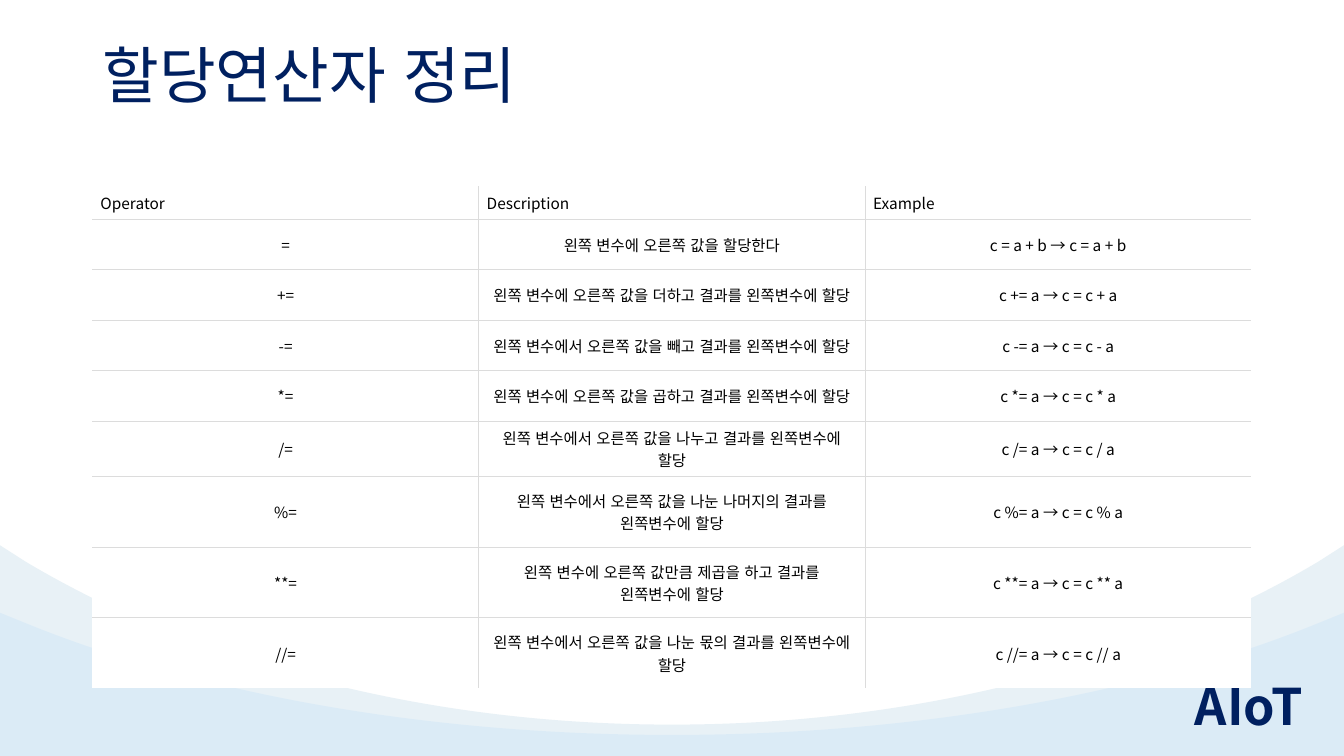
from lxml.etree import SubElement as Sub
from pptx import Presentation
from pptx.dml.color import RGBColor as RGB
from pptx.enum.text import MSO_ANCHOR as Anchor, MSO_AUTO_SIZE as Auto, PP_ALIGN as Align
from pptx.oxml.ns import qn
from pptx.util import Cm, Pt

FONT = "Noto Sans CJK KR"
NAVY, GRID, WHITE, BLACK = "002060", "DCDCDC", "FFFFFF", "000000"
WIDE, HIGH = 33.87, 19.05
HEADS = ["Operator", "Description", "Example"]
ROWS = [
    ("=", "왼쪽 변수에 오른쪽 값을 할당한다", "c = a + b → c = a + b"),
    ("+=", "왼쪽 변수에 오른쪽 값을 더하고 결과를 왼쪽변수에 할당", "c += a → c = c + a"),
    ("-=", "왼쪽 변수에서 오른쪽 값을 빼고 결과를 왼쪽변수에 할당", "c -= a → c = c - a"),
    ("*=", "왼쪽 변수에 오른쪽 값을 곱하고 결과를 왼쪽변수에 할당", "c *= a → c = c * a"),
    ("/=", "왼쪽 변수에서 오른쪽 값을 나누고 결과를 왼쪽변수에 할당", "c /= a → c = c / a"),
    ("%=", "왼쪽 변수에서 오른쪽 값을 나눈 나머지의 결과를 왼쪽변수에 할당", "c %= a → c = c % a"),
    ("**=", "왼쪽 변수에 오른쪽 값만큼 제곱을 하고 결과를 왼쪽변수에 할당", "c **= a → c = c ** a"),
    ("//=", "왼쪽 변수에서 오른쪽 값을 나눈 몫의 결과를 왼쪽변수에 할당", "c //= a → c = c //\u00a0a"),
]
TALLS = [0.84] + [1.27] * 4 + [1.4] + [1.78] * 3


def put(obj, vals):
    """Set each attribute named in a dict."""
    for key, val in vals.items():
        setattr(obj, key, val)


def paint(fill, color):
    """Fill with a solid hex colour."""
    fill.solid()
    fill.fore_color.rgb = RGB.from_string(color)


def write(frame, text, size, color, align=Align.LEFT, bold=False, lead=None):
    """Write one formatted paragraph into a text frame."""
    para = frame.paragraphs[0]
    put(para, {"alignment": align, "line_spacing": lead})
    run = para.add_run()
    run.text = text
    put(run.font, {"name": FONT, "size": Pt(size), "bold": bold})
    run.font.color.rgb = RGB.from_string(color)
    props = run._r.get_or_add_rPr()
    props.set("lang", "ko-KR")
    Sub(props, qn("a:ea"), typeface=FONT)


def bend(shape, first):
    """Join three line segments from the given one into a cubic curve."""
    lines = list(shape._element.iter(qn("a:lnTo")))[first:first + 3]
    lines[0].tag = qn("a:cubicBezTo")
    for line in lines[1:]:
        lines[0].append(line[0])
        line.getparent().remove(line)


def wave(slide, ys, color, alpha=100):
    """Draw a symmetric wave down to the foot of the slide."""
    left = list(zip((0, 0.64, 4.93, 10.67, WIDE / 2), ys))
    right = [(WIDE - x, y) for x, y in left[-2::-1]]
    dots = [(Cm(x), Cm(y)) for x, y in left + right + [(WIDE, HIGH), (0, HIGH)]]
    pen = slide.shapes.build_freeform(*dots[0], scale=1.0)
    pen.add_line_segments(dots[1:], close=True)
    shape = pen.convert_to_shape()
    for _ in range(2):
        bend(shape, 1)if _ == 0 else bend(shape, 1)
    shape.shadow.inherit = False
    shape.line.fill.background()
    paint(shape.fill, color)
    if alpha < 100:
        tint = shape.fill._xPr.find(".//" + qn("a:srgbClr"))
        Sub(tint, qn("a:alpha"), val=str(alpha * 1000))


def border(cell, sides):
    """Rule the named sides of a cell and clear the others."""
    props = cell._tc.get_or_add_tcPr()
    for side in "LRTB":
        line = Sub(props, qn("a:ln" + side), w=str(Pt(0.75)))
        if side in sides:
            Sub(Sub(line, qn("a:solidFill")), qn("a:srgbClr"), val=GRID)
        else:
            Sub(line, qn("a:noFill"))


def grid(slide):
    """Build the operator table with inner rules only."""
    data = [HEADS, *ROWS]
    box = map(Cm, (2.33, 4.69, 29.21, sum(TALLS)))
    table = slide.shapes.add_table(len(data), len(HEADS), *box).table
    put(table, {"first_row": False, "horz_banding": False})
    for r, texts in enumerate(data):
        table.rows[r].height = Cm(TALLS[r])
        for c, text in enumerate(texts):
            cell = table.cell(r, c)
            pad = Cm(0.3 if r and c == 1 else 0.2)
            put(cell, {"margin_left": pad, "margin_right": pad, "margin_top": Cm(0.13),
                       "margin_bottom": Cm(0.13), "vertical_anchor": Anchor.MIDDLE})
            inner = {"L": c > 0, "R": c < len(HEADS) - 1, "T": r > 0, "B": r < len(data) - 1}
            border(cell, [side for side, on in inner.items() if on])
            paint(cell.fill, WHITE)
            write(cell.text_frame, text, 11, BLACK, Align.CENTER if r else Align.LEFT)


def title(slide, text):
    """Place and format the title."""
    head = slide.shapes.title
    put(head, {"left": Cm(2.33), "top": Cm(1.02), "width": Cm(29.21), "height": Cm(3.68)})
    put(head.text_frame, {"vertical_anchor": Anchor.TOP, "auto_size": Auto.NONE, "word_wrap": True})
    write(head.text_frame, text, 44, NAVY, lead=0.9)


def mark(slide, text):
    """Add the bold word in the lower right corner."""
    frame = slide.shapes.add_textbox(*map(Cm, (29.86, 16.88, 3.35, 1.8))).text_frame
    put(frame, {"word_wrap": False, "auto_size": Auto.SHAPE_TO_FIT_TEXT})
    write(frame, text, 36, NAVY, bold=True)


def main():
    """Build and save the slide."""
    deck = Presentation()
    put(deck, {"slide_width": Cm(WIDE), "slide_height": Cm(HIGH)})
    slide = deck.slides.add_slide(deck.slide_layouts[5])
    paint(slide.background.fill, WHITE)
    wave(slide, (13.74, 14.15, 16.71, 18.26, 18.26), "E8F1F6")
    wave(slide, (15.44, 15.7, 17.45, 18.52, 18.52), "7AC2F9", 11)
    mark(slide, "AIoT")
    title(slide, "할당연산자 정리")
    grid(slide)
    deck.save("out.pptx")


main()
